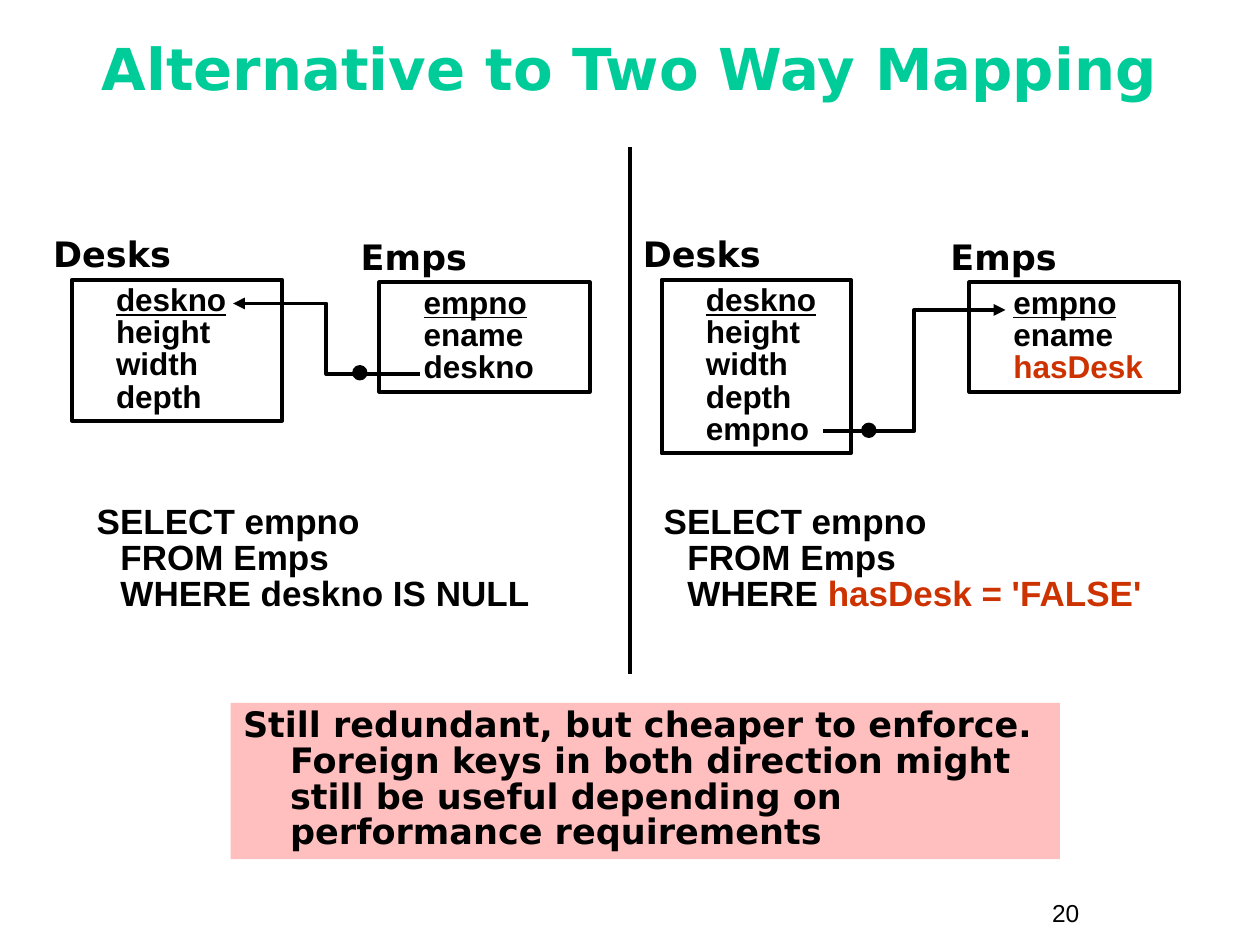
import pptx
import pptx.dml.color
import pptx.enum.shapes
import pptx.enum.text
import pptx.oxml.ns
import pptx.util
from lxml import etree
from pptx.util import Cm

COLORS = {"ink": "000000", "title": "00CC99", "accent": "CC3300", "note": "FFBFBF"}
HEADING_FONT = "DejaVu Sans"
BODY_FONT = "Arial"
SHAPES = pptx.enum.shapes.MSO_SHAPE
CONNECTORS = pptx.enum.shapes.MSO_CONNECTOR
ANCHOR = pptx.enum.text.MSO_ANCHOR
ALIGN = pptx.enum.text.PP_ALIGN
LINE_WIDTH = pptx.util.Pt(2.25)
PANEL_SHIFT = 11.89


def rgb(name):
    return pptx.dml.color.RGBColor.from_string(COLORS[name])


def span(text, color="ink", underline=False):
    return text, color, underline


def write(box, paragraphs, font, size, bold=True, spacing=0.85, indent=0, hanging=0,
          align=ALIGN.LEFT, anchor=ANCHOR.TOP):
    """Fill a box with paragraphs, each a list of spans; a newline is a line break."""
    frame = box.text_frame
    frame.word_wrap = True
    frame.auto_size = pptx.enum.text.MSO_AUTO_SIZE.NONE
    frame.vertical_anchor = anchor
    for index, spans in enumerate(paragraphs):
        para = frame.add_paragraph() if index else frame.paragraphs[0]
        para.alignment = align
        para.line_spacing = spacing
        if indent:
            properties = para._p.get_or_add_pPr()
            properties.set("marL", str(Cm(indent)))
            properties.set("indent", str(-Cm(hanging)))
        for text, color, underline in spans:
            for number, line in enumerate(text.split("\n")):
                if number:
                    para.add_line_break()
                if not line:
                    continue
                run = para.add_run()
                run.text = line
                run.font.name = font
                run.font.size = pptx.util.Pt(size)
                run.font.bold = bold
                run.font.underline = underline
                run.font.color.rgb = rgb(color)


def add_text(page, left, top, width, height, paragraphs, font, size, **style):
    box = page.shapes.add_textbox(Cm(left), Cm(top), Cm(width), Cm(height))
    write(box, paragraphs, font, size, **style)


def add_block(page, kind, left, top, width, height, fill=None, line=None):
    block = page.shapes.add_shape(kind, Cm(left), Cm(top), Cm(width), Cm(height))
    block.shadow.inherit = False
    if fill:
        block.fill.solid()
        block.fill.fore_color.rgb = rgb(fill)
    else:
        block.fill.background()
    if line:
        block.line.color.rgb = rgb(line)
        block.line.width = LINE_WIDTH
    else:
        block.line.fill.background()
    return block


def add_line(page, kind, start, end, arrow=False):
    line = page.shapes.add_connector(kind, *map(Cm, start + end))
    line.line.color.rgb = rgb("ink")
    line.line.width = LINE_WIDTH
    if arrow:
        etree.SubElement(line.line._get_or_add_ln(), pptx.oxml.ns.qn("a:tailEnd"),
                         type="triangle", w="med", len="med")
    etree.SubElement(line._element.spPr, pptx.oxml.ns.qn("a:effectLst"))


def add_entity(page, name, left, top, width, height, fields):
    """Draw a named table box whose first field is the underlined key."""
    add_text(page, left - 0.63, top - 1.07, 5.46, 1.12, [[span(name)]],
             HEADING_FONT, 20, spacing=1.0)
    box = add_block(page, SHAPES.RECTANGLE, left, top, width, height, line="ink")
    paragraphs = [[span(field, "accent" if field == "hasDesk" else "ink", index == 0)]
                  for index, field in enumerate(fields)]
    write(box, paragraphs, BODY_FONT, 18, indent=0.64)


def add_schema(page, shift, desk_size, desk_fields, emp_fields):
    add_entity(page, "Desks", 1.45 + shift, 5.64, *desk_size, desk_fields)
    add_entity(page, "Emps", 7.65 + shift, 5.69, 4.24, 2.21, emp_fields)


def add_reference(page, start, end, dot):
    """Draw a foreign key as an elbow arrow with a dot on its first leg."""
    add_line(page, CONNECTORS.ELBOW, start, end, arrow=True)
    add_block(page, SHAPES.OVAL, *dot, 0.23, 0.23, fill="ink", line="ink")


def add_query(page, left, width, spans):
    add_text(page, left, 10.08, width, 2.41, [spans], BODY_FONT, 20,
             indent=0.48, hanging=0.48)


def add_title(page, text):
    title = page.shapes.title
    title.left, title.top, title.width, title.height = map(Cm, (0.84, 0.64, 23.7, 1.7))
    write(title, [[span(text, "title")]], HEADING_FONT, 33, spacing=0.8,
          align=ALIGN.CENTER, anchor=ANCHOR.MIDDLE)


def add_note(page, text):
    note = add_block(page, SHAPES.RECTANGLE, 4.65, 14.17, 16.72, 3.15, fill="note")
    write(note, [[span(text)]], HEADING_FONT, 20, indent=0.95, hanging=0.95)


def main():
    deck = pptx.Presentation()
    deck.slide_width, deck.slide_height = Cm(25.4), Cm(19.05)
    page = deck.slides.add_slide(deck.slide_layouts[5])

    add_title(page, "Alternative to Two Way Mapping")
    add_line(page, CONNECTORS.STRAIGHT, (12.7, 2.97), (12.7, 13.59))

    desk_fields = ["deskno", "height", "width", "depth"]
    add_schema(page, 0, (4.24, 2.84), desk_fields, ["empno", "ename", "deskno"])
    add_schema(page, PANEL_SHIFT, (3.81, 3.5), desk_fields + ["empno"],
               ["empno", "ename", "hasDesk"])
    add_reference(page, (8.46, 7.54), (4.7, 6.12), dot=(7.14, 7.4))
    add_reference(page, (16.59, 8.69), (20.27, 6.25), dot=(17.4, 8.56))

    add_query(page, 1.7, 10.16, [span("SELECT empno\nFROM Emps\nWHERE deskno IS NULL")])
    add_query(page, 13.13, 11.63, [span("SELECT empno\nFROM Emps\nWHERE "),
                                   span("hasDesk = 'FALSE'", "accent")])
    add_note(page, "Still redundant, but cheaper to enforce.\n"
                   "Foreign keys in both direction might still be useful "
                   "depending on performance requirements")
    add_text(page, 20.96, 17.98, 2.34, 0.86, [[span("20")]], BODY_FONT, 14,
             bold=False, spacing=1.0)

    deck.save("out.pptx")


if __name__ == "__main__":
    main()
